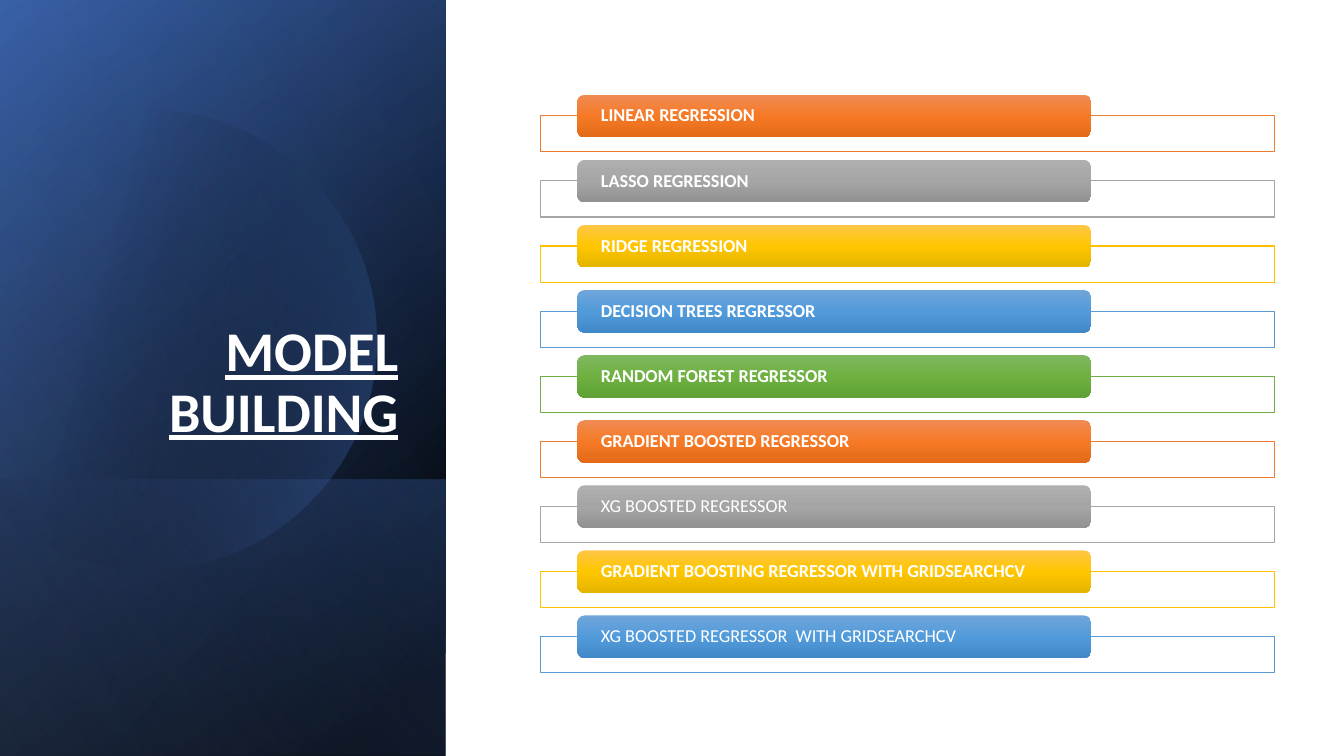
from math import cos, radians, sin

from lxml import etree
from pptx import Presentation
from pptx.dml.color import RGBColor
from pptx.enum import shapes, text
from pptx.oxml import ns
from pptx.util import Cm, Pt

WHITE = RGBColor(0xFF, 0xFF, 0xFF)
BLACK = RGBColor(0x00, 0x00, 0x00)
NAVY = RGBColor(0x2F, 0x54, 0x96)
BLUE = RGBColor(0x44, 0x72, 0xC4)
PALE = RGBColor(0x8D, 0xA9, 0xDB)
FONT = "Calibri"

# Each tone: outline, then the top, middle and bottom of the pill
TONES = [[RGBColor.from_string(c) for c in row.split()] for row in (
    "ED7D31 F08B54 F67A26 E36A18",
    "A5A5A5 AFAFAF A5A5A5 919191",
    "FFC000 FFC647 FFC600 E3B400",
    "599BD5 6EA5DA 529BDA 4188C8",
    "70AD47 7FB75F 6EB141 5FA134",
)]

# Model name and whether it is bold
MODELS = [
    ("LINEAR REGRESSION", True),
    ("LASSO REGRESSION", True),
    ("RIDGE REGRESSION", True),
    ("DECISION TREES REGRESSOR", True),
    ("RANDOM FOREST REGRESSOR", True),
    ("GRADIENT BOOSTED REGRESSOR", True),
    ("XG BOOSTED REGRESSOR", False),
    ("GRADIENT BOOSTING REGRESSOR WITH GRIDSEARCHCV", True),
    ("XG BOOSTED REGRESSOR  WITH GRIDSEARCHCV", False),
]
TOP, STEP = 2.39, 1.64
WIDE, TALL = 11.23, 19.05  # side panel


def shade(shape, angle, stops):
    """Fill with a linear gradient; a stop is (percent, colour, opacity)."""
    shape.shadow.inherit = False
    shape.line.fill.background()
    grad = etree.Element(ns.qn("a:gradFill"), rotWithShape="1")
    marks = etree.SubElement(grad, ns.qn("a:gsLst"))
    for spot, tint, alpha in stops:
        mark = etree.SubElement(marks, ns.qn("a:gs"), pos=str(spot * 1000))
        rgb = etree.SubElement(mark, ns.qn("a:srgbClr"), val=str(tint))
        if alpha < 100:
            etree.SubElement(rgb, ns.qn("a:alpha"), val=str(alpha * 1000))
    etree.SubElement(grad, ns.qn("a:lin"), ang=str(angle * 60000), scaled="0")
    shape._element.spPr.find(ns.qn("a:ln")).addprevious(grad)


def add_panel(slide, high, angle, stops):
    """Add a mirrored, turned layer that ends at the foot of the slide."""
    left, top = (WIDE - high) / 2, TALL - (high + WIDE) / 2
    layer = slide.shapes.add_shape(
        shapes.MSO_SHAPE.RECTANGLE, Cm(left), Cm(top), Cm(high), Cm(WIDE))
    layer.rotation = 90
    layer._element.spPr.find(ns.qn("a:xfrm")).set("flipH", "1")
    shade(layer, angle, stops)


def add_disc(slide):
    """Add the faint disc, cut off at the left edge of the slide."""
    x, y, r = 3.68, 8.56, 5.8
    dots = [(Cm(x + r * cos(radians(a))), Cm(y + r * sin(radians(a))))
            for a in range(-129, 130, 3)]
    form = slide.shapes.build_freeform(*dots[0])
    form.add_line_segments(dots[1:])
    shade(form.convert_to_shape(), 14,
          [(0, BLACK, 0), (29, BLACK, 0), (100, BLUE, 43)])


def set_title(slide, words):
    title = slide.shapes.title
    title.left, title.top = Cm(1.63), Cm(4.67)
    title.width, title.height = Cm(8.66), Cm(6.65)
    frame = title.text_frame
    frame.text = words
    frame.word_wrap = True
    frame.auto_size = text.MSO_AUTO_SIZE.NONE
    frame.vertical_anchor = text.MSO_ANCHOR.BOTTOM
    para = frame.paragraphs[0]
    para.alignment = text.PP_ALIGN.RIGHT
    para.line_spacing = 0.9
    style(para, 40, True)
    para.font.underline = True
    # Bring the title in front of the panel
    slide.shapes._spTree.append(title._element)


def style(para, size, bold):
    font = para.font
    font.name, font.size, font.bold = FONT, Pt(size), bold
    font.color.rgb = WHITE


def add_model(slide, row, name, bold):
    edge, *tints = TONES[row % len(TONES)]
    top = TOP + row * STEP
    # Outlined bar behind
    bar = slide.shapes.add_shape(
        shapes.MSO_SHAPE.RECTANGLE, Cm(13.61), Cm(top + 0.53), Cm(18.52), Cm(0.91))
    bar.shadow.inherit = False
    bar.fill.solid()
    bar.fill.fore_color.rgb = WHITE
    bar.line.color.rgb = edge
    bar.line.width = Pt(0.75)
    # Pill with the name
    pill = slide.shapes.add_shape(
        shapes.MSO_SHAPE.ROUNDED_RECTANGLE, Cm(14.55), Cm(top), Cm(12.95), Cm(1.07))
    pill.adjustments[0] = 0.17
    shade(pill, 90, [(spot, tint, 100) for spot, tint in zip((0, 50, 100), tints)])
    frame = pill.text_frame
    frame.text = name
    frame.word_wrap = True
    frame.vertical_anchor = text.MSO_ANCHOR.MIDDLE
    frame.margin_left = frame.margin_right = Cm(0.54)
    frame.margin_top = frame.margin_bottom = 0
    para = frame.paragraphs[0]
    para.alignment = text.PP_ALIGN.LEFT
    para.line_spacing = 0.9
    style(para, 13, bold)


def main():
    deck = Presentation()
    deck.slide_width, deck.slide_height = Cm(33.87), Cm(TALL)
    slide = deck.slides.add_slide(deck.slide_layouts[5])

    # Side panel
    add_panel(slide, TALL, 50, [(0, BLACK, 100), (8, BLACK, 100), (100, NAVY, 100)])
    add_panel(slide, TALL, 30, [(0, BLACK, 0), (99, BLUE, 46), (100, BLUE, 46)])
    add_panel(slide, 6.96, 130, [(0, BLUE, 29), (2, BLUE, 29), (100, BLACK, 30)])
    add_disc(slide)
    add_panel(slide, TALL, 120, [(0, BLACK, 0), (99, PALE, 11), (100, PALE, 11)])
    set_title(slide, "MODEL BUILDING")

    # List of models
    for row, (name, bold) in enumerate(MODELS):
        add_model(slide, row, name, bold)
    deck.save("out.pptx")


if __name__ == "__main__":
    main()
